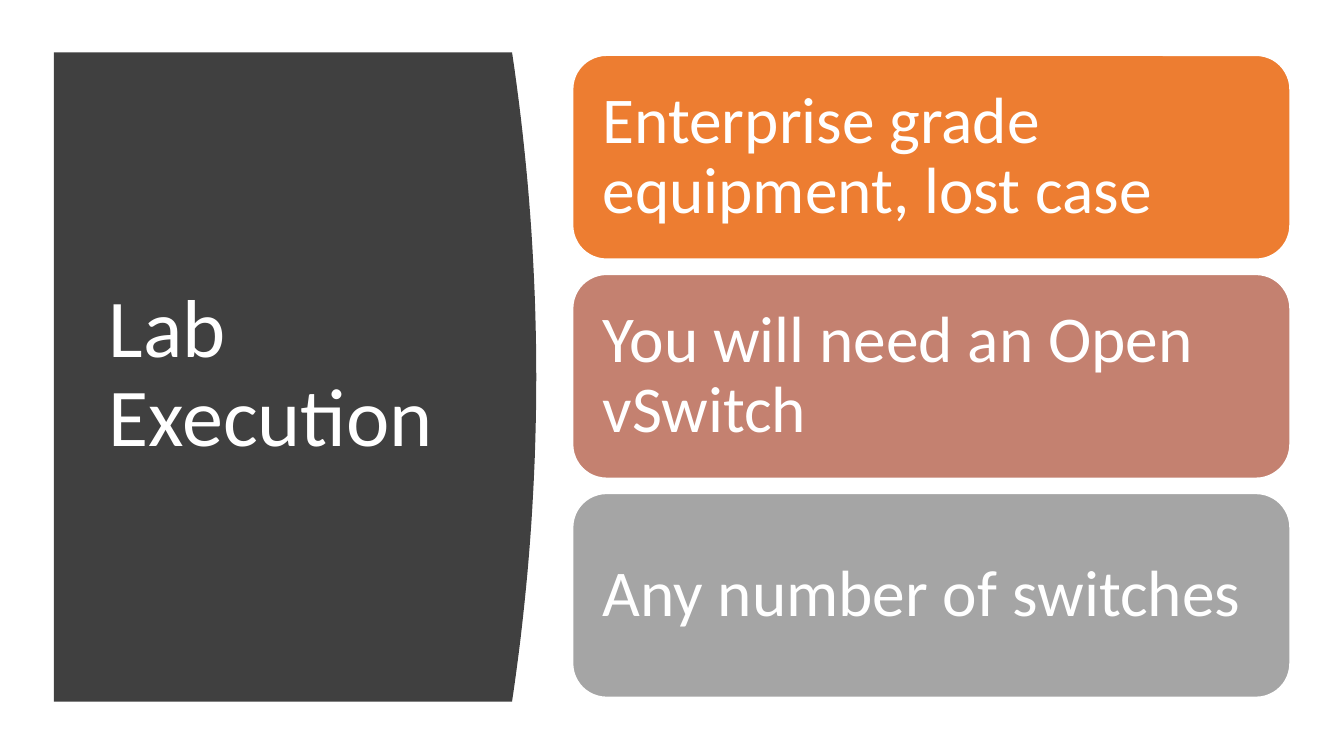
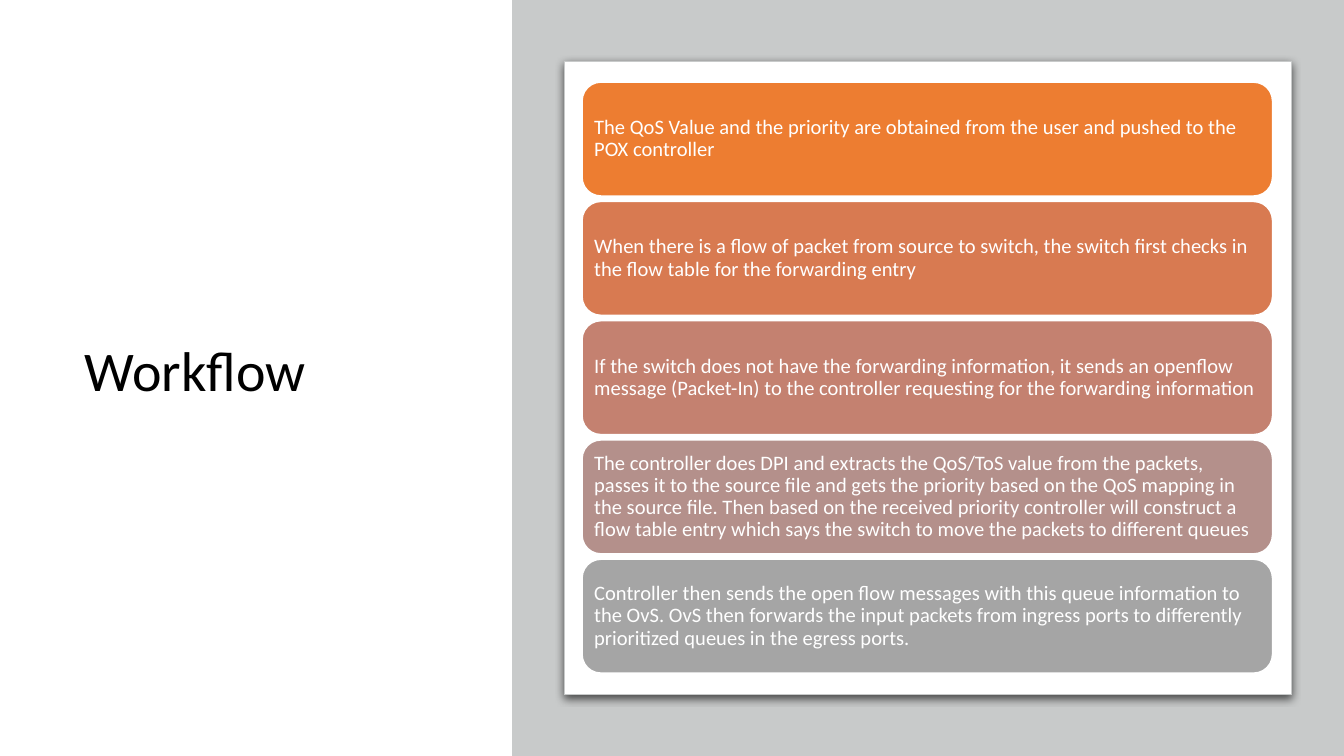
from lxml import etree
from pptx import Presentation
from pptx.dml.color import RGBColor
from pptx.enum.shapes import MSO_SHAPE
from pptx.enum.text import MSO_ANCHOR, MSO_AUTO_SIZE, PP_ALIGN
from pptx.oxml import parse_xml
from pptx.oxml.ns import nsdecls, qn
from pptx.util import Inches, Pt

RECT, ROUND = MSO_SHAPE.RECTANGLE, MSO_SHAPE.ROUNDED_RECTANGLE
MIDDLE, LEFT = MSO_ANCHOR.MIDDLE, PP_ALIGN.LEFT
FIXED = MSO_AUTO_SIZE.NONE

WIDE = 10
HIGH = WIDE * 9 / 16
FONT = "Calibri"
WHITE = RGBColor(0xFF, 0xFF, 0xFF)
BLACK = RGBColor(0x00, 0x00, 0x00)
DARK = RGBColor(0x40, 0x40, 0x40)
PALE = RGBColor(0xC8, 0xCA, 0xCA)
ORANGE = RGBColor(0xED, 0x7D, 0x31)
RUST = RGBColor(0xD8, 0x7A, 0x51)
ROSE = RGBColor(0xC4, 0x81, 0x70)
MAUVE = RGBColor(0xB4, 0x90, 0x8B)
GREY = RGBColor(0xA5, 0xA5, 0xA5)

NEEDS = [
    ("Enterprise grade equipment, lost case", ORANGE),
    ("You will need an Open vSwitch", ROSE),
    ("Any number of switches", GREY),
]
STEPS = [
    ("The QoS Value and the priority are obtained from the user and pushed "
     "to the POX controller", ORANGE),
    ("When there is a flow of packet from source to switch, the switch first "
     "checks in the flow table for the forwarding entry", RUST),
    ("If the switch does not have the forwarding information, it sends an "
     "openflow message (Packet-In) to the controller requesting for the "
     "forwarding information", ROSE),
    ("The controller does DPI and extracts the QoS/ToS value from the packets, "
     "passes it to the source file and gets the priority based on the QoS "
     "mapping in the source file. Then based on the received priority "
     "controller will construct a flow table entry which says the switch to "
     "move the packets to different queues", MAUVE),
    ("Controller then sends the open flow messages with this queue information "
     "to the OvS. OvS then forwards the input packets from ingress ports to "
     "differently prioritized queues in the egress ports.", GREY),
]


def write(shape, text, size, color, inset=None):
    """Put one left-aligned, middle-anchored run in a shape."""
    frame = shape.text_frame
    frame.word_wrap = True
    frame.auto_size = FIXED
    frame.vertical_anchor = MIDDLE
    if inset is not None:
        frame.margin_left = frame.margin_right = Inches(inset)
        frame.margin_top = frame.margin_bottom = Inches(inset)
    para = frame.paragraphs[0]
    para.alignment = LEFT
    para.line_spacing = 0.9
    run = para.add_run()
    run.text = text
    run.font.name = FONT
    run.font.size = Pt(size)
    run.font.color.rgb = color


def paint(shape, fill, line=None, width=1):
    """Set the fill and line of a shape and drop its shadow."""
    shape.shadow.inherit = False
    shape.fill.solid()
    shape.fill.fore_color.rgb = fill
    if line is None:
        shape.line.fill.background()
    else:
        shape.line.color.rgb = line
        shape.line.width = Pt(width)


def add_box(slide, kind, box, fill, line=None, width=1):
    """Add a painted preset shape."""
    shape = slide.shapes.add_shape(kind, *map(Inches, box))
    paint(shape, fill, line, width)
    return shape


def add_title(slide, text, box, size, color):
    """Place the title in front of what is drawn so far."""
    title = slide.shapes.title
    title.left, title.top, title.width, title.height = map(Inches, box)
    write(title, text, size, color)
    title.element.getparent().append(title.element)


def add_stack(slide, items, box, last, size, inset):
    """Stack one rounded card per item, evenly down to the last top."""
    left, top, width, height = box
    pitch = (last - top) / (len(items) - 1)
    for row, (text, fill) in enumerate(items):
        spot = (left, top + row * pitch, width, height)
        card = add_box(slide, ROUND, spot, fill, WHITE)
        write(card, text, size, WHITE, inset)


def add_panel(slide, left, top, edge, low, bulge, parts=40):
    """Draw a dark panel whose right side bows outward."""
    curve = []
    for part in range(parts + 1):
        pos = part / parts
        across = edge + bulge * 4 * pos * (1 - pos)
        curve.append((Inches(across), Inches(top + (low - top) * pos)))
    pen = slide.shapes.build_freeform(Inches(left), Inches(top))
    pen.add_line_segments(curve + [(Inches(left), Inches(low))], close=True)
    paint(pen.convert_to_shape(), DARK)


def add_shade(shape):
    """Cast a soft shadow below a shape."""
    effects = shape.element.spPr.find(qn("a:effectLst"))
    shade = parse_xml(
        f'<a:outerShdw {nsdecls("a")} blurRad="{Pt(4.5)}" dist="{Pt(1.5)}" '
        'dir="5400000" algn="ctr" rotWithShape="0"/>')
    tint = etree.SubElement(shade, qn("a:srgbClr"), val=str(BLACK))
    etree.SubElement(tint, qn("a:alpha"), val="63000")
    effects.append(shade)


def add_slide(deck):
    """Add a white title-only slide."""
    slide = deck.slides.add_slide(deck.slide_layouts[5])
    slide.background.fill.solid()
    slide.background.fill.fore_color.rgb = WHITE
    return slide


def lab_slide(deck):
    """Build the lab slide."""
    slide = add_slide(deck)
    add_panel(slide, 0.4, 0.39, 3.81, 5.22, 0.18)
    add_title(slide, "Lab Execution", (0.71, 0.83, 2.8, 3.93), 44, WHITE)
    add_stack(slide, NEEDS, (4.26, 0.41, 5.34, 1.52), 3.67, 35, 0.15)


def flow_slide(deck):
    """Build the workflow slide."""
    slide = add_slide(deck)
    add_title(slide, "Workflow", (0.53, 0.52, 3.01, 4.52), 30, BLACK)
    add_box(slide, RECT, (3.81, 0, WIDE - 3.81, HIGH), PALE)
    sheet = add_box(slide, ROUND, (4.2, 0.46, 5.41, 4.71), WHITE, PALE, 0.75)
    sheet.adjustments[0] = 0
    add_shade(sheet)
    add_stack(slide, STEPS, (4.33, 0.61, 5.14, 0.85), 4.16, 11, 0.05)


def main():
    """Build and save the deck."""
    deck = Presentation()
    deck.slide_width, deck.slide_height = Inches(WIDE), Inches(HIGH)
    lab_slide(deck)
    flow_slide(deck)
    deck.save("out.pptx")


if __name__ == "__main__":
    main()
